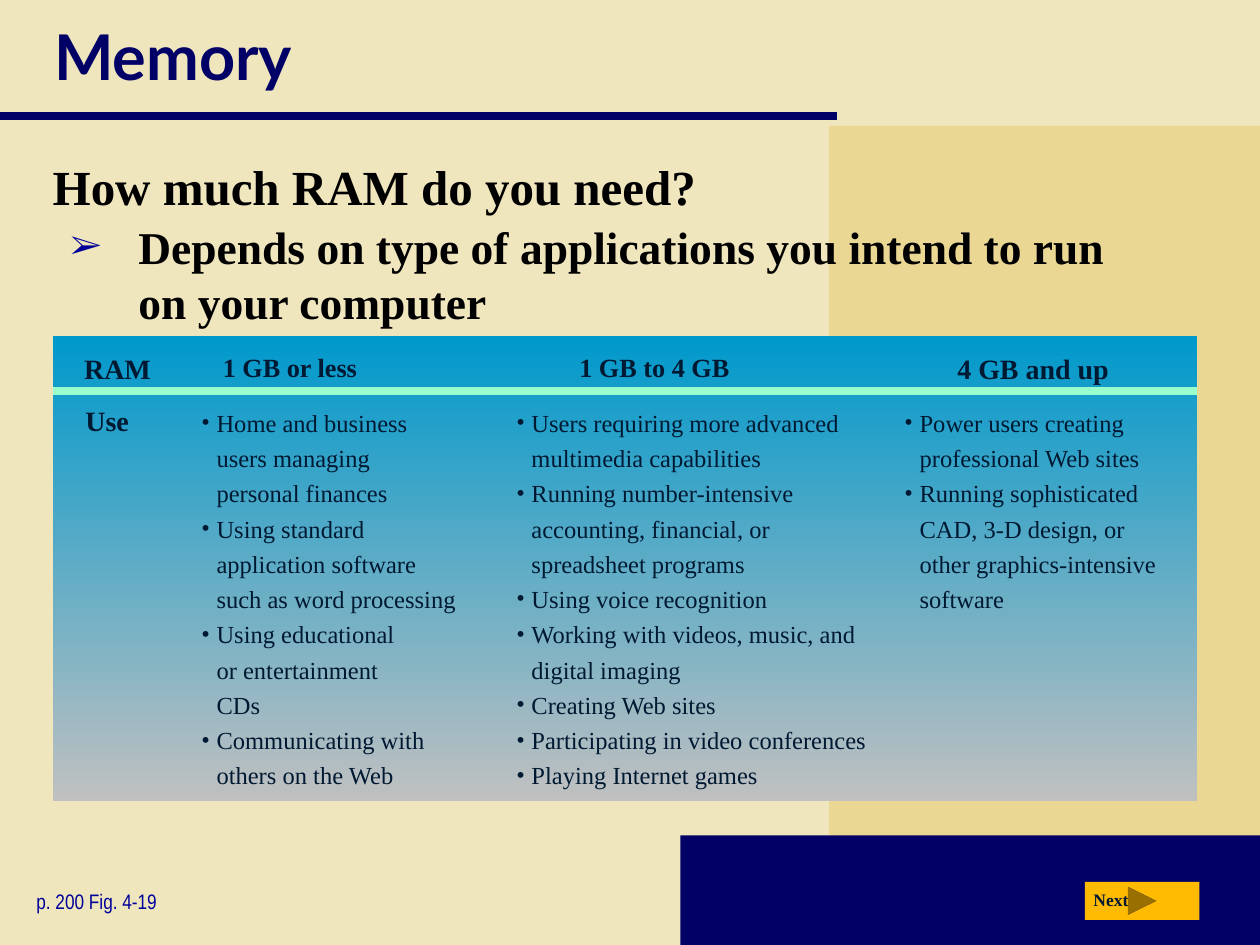
from dataclasses import dataclass

from lxml import etree
from pptx import Presentation
from pptx.dml.color import RGBColor
from pptx.enum.shapes import MSO_CONNECTOR, MSO_SHAPE
from pptx.enum.text import MSO_ANCHOR, PP_ALIGN
from pptx.oxml.ns import qn
from pptx.shapes.autoshape import Shape
from pptx.slide import Slide
from pptx.text.text import TextFrame
from pptx.util import Inches, Pt

RECTANGLE = MSO_SHAPE.RECTANGLE
NEXT_BUTTON = MSO_SHAPE.ACTION_BUTTON_FORWARD_OR_NEXT
STRAIGHT = MSO_CONNECTOR.STRAIGHT
MIDDLE, TOP = MSO_ANCHOR.MIDDLE, MSO_ANCHOR.TOP
LEFT = PP_ALIGN.LEFT


@dataclass(frozen=True)
class Style:
    size: float
    color: str
    font: str = "Times New Roman"
    bold: bool = True


@dataclass(frozen=True)
class Theme:
    background: str = "F0E6BE"
    sand: str = "E9D793"
    navy: str = "000066"
    button: str = "FFBA02"
    panel_top: str = "0099CC"
    panel_bottom: str = "C0C0C0"
    rule: str = "99FFCC"
    marker: str = "000099"
    title: Style = Style(36, "000066", "Lato")
    question: Style = Style(28, "000000")
    answer: Style = Style(26, "000000")
    heading: Style = Style(16, "001932")
    small_heading: Style = Style(15, "001932")
    use: Style = Style(14, "001932", bold=False)
    reference: Style = Style(12, "000099", "Arial Narrow", False)
    button_label: Style = Style(10, "001932")


@dataclass(frozen=True)
class Bullet:
    char: str
    margin: float
    hanging: float
    color: str = ""
    percent: int = 100


@dataclass(frozen=True)
class Box:
    left: float
    top: float
    width: float
    height: float

    def lengths(self) -> tuple[int, int, int, int]:
        return tuple(map(Inches, (self.left, self.top, self.width, self.height)))


@dataclass(frozen=True)
class RamColumn:
    heading: str
    heading_left: float
    heading_style: Style
    uses_left: float
    uses_width: float
    uses: tuple[str, ...]


THEME = Theme()
ARROW = Bullet("➢", 0.67, 0.54, THEME.marker, 75)
DOT = Bullet("•", 0.12, 0.12)
PANEL = Box(0.42, 2.67, 9.08, 3.69)
RULE_TOP = 3.1
COLUMNS = (
    RamColumn("1 GB or less", 1.67, THEME.small_heading, 1.5, 2.42, (
        "Home and business\nusers managing\npersonal finances",
        "Using standard\napplication software\nsuch as word processing",
        "Using educational\nor entertainment\nCDs",
        "Communicating with others on the Web",
    )),
    RamColumn("1 GB to 4 GB", 4.5, THEME.small_heading, 4, 3.5, (
        "Users requiring more advanced multimedia capabilities",
        "Running number-intensive\naccounting, financial, or\nspreadsheet programs",
        "Using voice recognition",
        "Working with videos, music, and\ndigital imaging",
        "Creating Web sites",
        "Participating in video conferences",
        "Playing Internet games",
    )),
    RamColumn("4 GB and up", 7.5, THEME.heading, 7.08, 2.42, (
        "Power users creating professional Web sites",
        "Running sophisticated\nCAD, 3-D design, or\nother graphics-intensive software",
    )),
)


def rgb(value: str) -> RGBColor:
    return RGBColor.from_string(value)


def add_bullet(paragraph, bullet: Bullet, font: str) -> None:
    props = paragraph._p.get_or_add_pPr()
    props.set("marL", str(Inches(bullet.margin)))
    props.set("indent", str(-Inches(bullet.hanging)))
    if bullet.color:
        color = etree.SubElement(props, qn("a:buClr"))
        etree.SubElement(color, qn("a:srgbClr"), val=bullet.color)
    etree.SubElement(props, qn("a:buSzPct"), val=str(bullet.percent * 1000))
    etree.SubElement(props, qn("a:buFont"), typeface=font)
    etree.SubElement(props, qn("a:buChar"), char=bullet.char)


def write(frame: TextFrame, lines: tuple[str, ...], style: Style,
          bullet: Bullet | None = None, spacing: float = 1.0) -> None:
    frame.word_wrap = True
    for index, line in enumerate(lines):
        paragraph = frame.paragraphs[0] if index == 0 else frame.add_paragraph()
        paragraph.text = line
        if bullet:
            add_bullet(paragraph, bullet, style.font)
        paragraph.alignment = LEFT
        paragraph.line_spacing = spacing
        paragraph.font.size = Pt(style.size)
        paragraph.font.name = style.font
        paragraph.font.bold = style.bold
        paragraph.font.color.rgb = rgb(style.color)


def add_text(shapes, box: Box, lines: tuple[str, ...], style: Style,
             bullet: Bullet | None = None, spacing: float = 1.0) -> None:
    frame = shapes.add_textbox(*box.lengths()).text_frame
    frame.vertical_anchor = TOP
    write(frame, lines, style, bullet, spacing)


def add_block(shapes, kind: MSO_SHAPE, box: Box, color: str) -> Shape:
    block = shapes.add_shape(kind, *box.lengths())
    block.shadow.inherit = False
    block.line.fill.background()
    block.fill.solid()
    block.fill.fore_color.rgb = rgb(color)
    return block


def add_rule(shapes, left: float, right: float, top: float, color: str, weight: float) -> None:
    rule = shapes.add_connector(STRAIGHT, Inches(left), Inches(top), Inches(right), Inches(top))
    rule.line.color.rgb = rgb(color)
    rule.line.width = Pt(weight)
    etree.SubElement(rule._element.spPr, qn("a:effectLst"))


def add_title(slide: Slide) -> None:
    title = slide.shapes.title
    title.left, title.top, title.width, title.height = Box(0.33, 0, 9.39, 0.88).lengths()
    title.text_frame.vertical_anchor = MIDDLE
    write(title.text_frame, ("Memory",), THEME.title)


def add_next_button(slide: Slide) -> None:
    button = slide.shapes.add_group_shape().shapes
    add_block(button, NEXT_BUTTON, Box(8.61, 7, 0.91, 0.3), THEME.button)
    add_text(button, Box(8.58, 7.01, 0.51, 0.27), ("Next",), THEME.button_label)


def add_ram_panel(slide: Slide) -> None:
    panel = slide.shapes.add_group_shape().shapes
    backdrop = add_block(panel, RECTANGLE, PANEL, THEME.panel_top)
    backdrop.fill.gradient()
    backdrop.fill.gradient_angle = 270
    for stop, color in zip(backdrop.fill.gradient_stops, (THEME.panel_top, THEME.panel_bottom)):
        stop.color.rgb = rgb(color)
    add_rule(panel, PANEL.left, PANEL.left + PANEL.width, RULE_TOP, THEME.rule, 4.5)
    add_text(panel, Box(0.57, 2.69, 1, 0.42), ("RAM",), THEME.heading, spacing=1.2)
    add_text(panel, Box(0.58, RULE_TOP, 0.75, 0.42), ("Use",), THEME.heading, spacing=1.2)
    for column in COLUMNS:
        add_text(panel, Box(column.heading_left, 2.69, 1.67, 0.4), (column.heading,),
                 column.heading_style, spacing=1.2)
        add_text(panel, Box(column.uses_left, 3.14, column.uses_width, 3.18), column.uses,
                 THEME.use, DOT, 1.2)


def main() -> None:
    deck = Presentation()
    deck.slide_width, deck.slide_height = Inches(10), Inches(7.5)
    slide = deck.slides.add_slide(deck.slide_layouts[5])
    slide.background.fill.solid()
    slide.background.fill.fore_color.rgb = rgb(THEME.background)
    add_block(slide.shapes, RECTANGLE, Box(6.58, 1, 3.42, 6.5), THEME.sand)
    add_block(slide.shapes, RECTANGLE, Box(5.4, 6.63, 4.6, 0.87), THEME.navy)
    add_rule(slide.shapes, 0, 6.64, 0.92, THEME.navy, 5)
    add_title(slide)
    add_text(slide.shapes, Box(0.32, 1.19, 9.39, 0.64), ("How much RAM do you need?",),
             THEME.question)
    add_text(slide.shapes, Box(0.19, 7, 1.69, 0.3), ("p. 200 Fig. 4-19",), THEME.reference)
    add_next_button(slide)
    add_text(slide.shapes, Box(0.33, 1.69, 9.39, 1.56),
             ("Depends on type of applications you intend to run\non your computer",),
             THEME.answer, ARROW)
    add_ram_panel(slide)
    deck.save("out.pptx")


if __name__ == "__main__":
    main()
